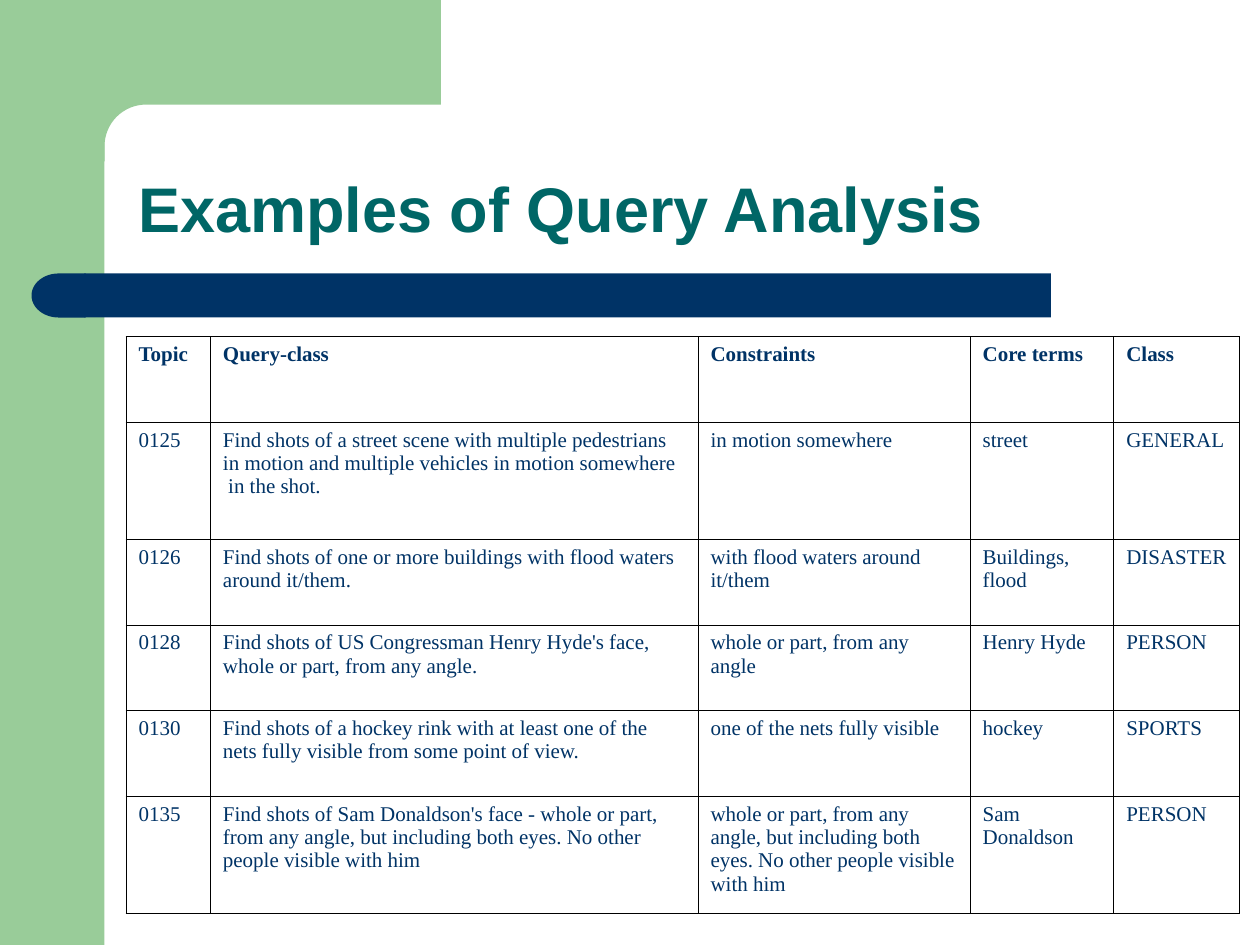
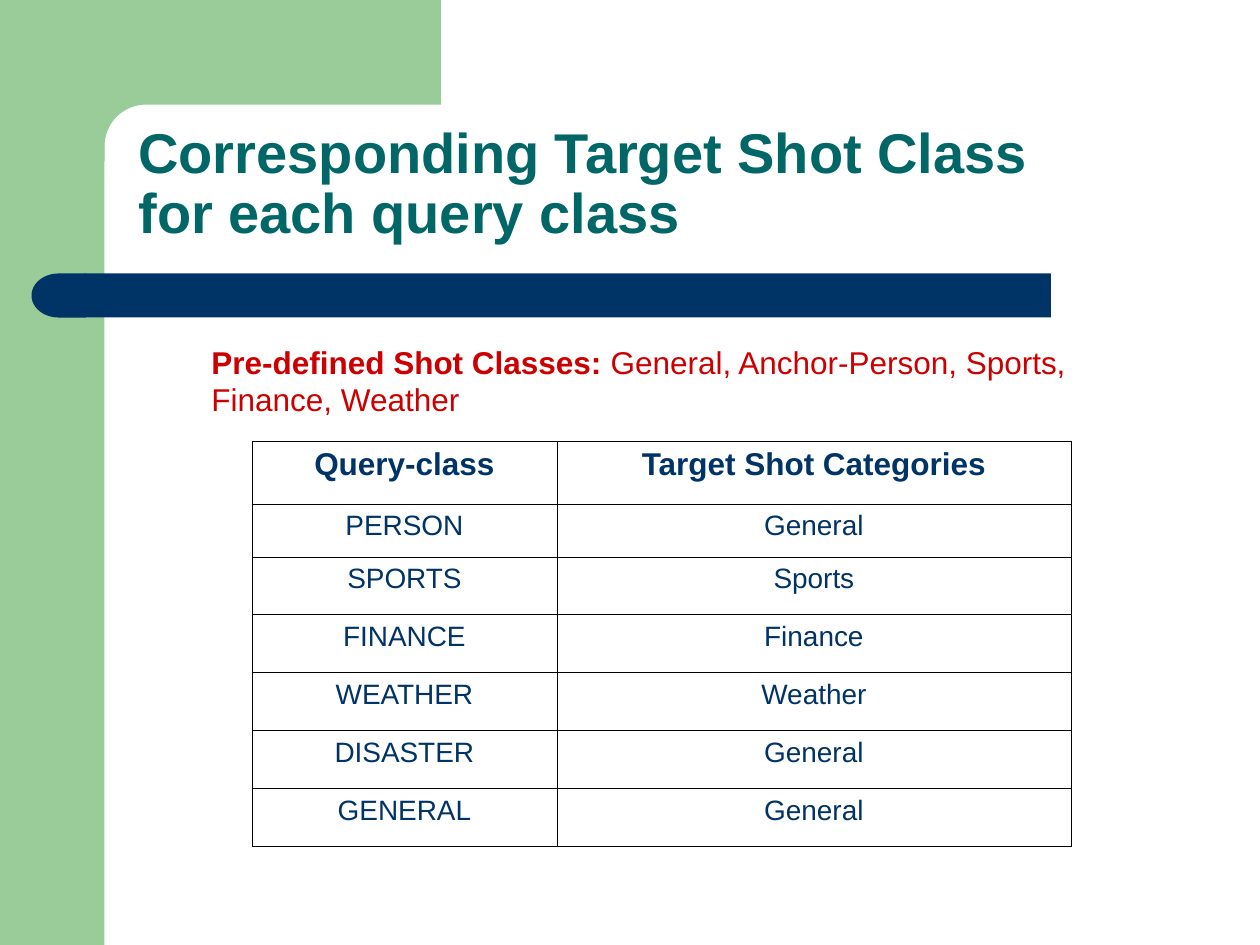
import math

import lxml.etree
import pptx
import pptx.dml.color
import pptx.enum.shapes
import pptx.enum.text
import pptx.oxml.ns
import pptx.util

Inches = pptx.util.Inches
RGBColor = pptx.dml.color.RGBColor
SHAPE = pptx.enum.shapes.MSO_SHAPE
ALIGN = pptx.enum.text.PP_ALIGN
ANCHOR = pptx.enum.text.MSO_ANCHOR

GREEN = RGBColor(0x99, 0xCC, 0x99)
NAVY = RGBColor(0x00, 0x33, 0x66)
TEAL = RGBColor(0x00, 0x66, 0x66)
RED = RGBColor(0xCC, 0x00, 0x00)
BLACK = RGBColor(0x00, 0x00, 0x00)

SANS = "Arial"
SERIF = "Times New Roman"
PAGE = (0, 0, 10, 7.5)
TITLE_BOX = (1, 0.91, 8.43, 1.09)

TOPICS = [
    ["Topic", "Query-class", "Constraints", "Core terms", "Class"],
    ["0125",
     "Find shots of a street scene with multiple pedestrians\n"
     "in motion and multiple vehicles in motion somewhere\n in the shot.",
     "in motion somewhere", "street", "GENERAL"],
    ["0126",
     "Find shots of one or more buildings with flood waters\naround it/them.",
     "with flood waters around\nit/them", "Buildings,\nflood", "DISASTER"],
    ["0128",
     "Find shots of US Congressman Henry Hyde's face,\n"
     "whole or part, from any angle.",
     "whole or part, from any\nangle", "Henry Hyde", "PERSON"],
    ["0130",
     "Find shots of a hockey rink with at least one of the\n"
     "nets fully visible from some point of view.",
     "one of the nets fully visible", "hockey", "SPORTS"],
    ["0135",
     "Find shots of Sam Donaldson's face - whole or part,\n"
     "from any angle, but including both eyes. No other\n"
     "people visible with him",
     "whole or part, from any\nangle, but including both\n"
     "eyes. No other people visible\nwith him",
     "Sam\nDonaldson", "PERSON"],
]

TARGETS = [
    ["Query-class", "Target Shot Categories"],
    ["PERSON", "General"],
    ["SPORTS", "Sports"],
    ["FINANCE", "Finance"],
    ["WEATHER", "Weather"],
    ["DISASTER", "General"],
    ["GENERAL", "General"],
]


def write(frame, text, size, color, font=SANS, bold=False, lead="",
          align=ALIGN.LEFT, spacing=None):
    """Fill a text frame, one paragraph a line, after an optional bold lead."""
    frame.word_wrap = True
    for i, line in enumerate(text.split("\n")):
        para = frame.add_paragraph() if i else frame.paragraphs[0]
        para.alignment = align
        para.line_spacing = spacing
        if lead and not i:
            para.add_run().text = lead
        for j, part in enumerate(line.split("\v")):
            if j:
                para.add_line_break()
            para.add_run().text = part
        for k, run in enumerate(para.runs):
            run.font.name = font
            run.font.size = pptx.util.Pt(size)
            run.font.color.rgb = color
            run.font.bold = bold or bool(lead and not i and not k)


def paint(shape, color):
    shape.shadow.inherit = False
    shape.fill.solid()
    shape.fill.fore_color.rgb = color
    shape.line.fill.background()
    return shape


def block(slide, kind, box, color):
    return paint(slide.shapes.add_shape(kind, *map(Inches, box)), color)


def frame(slide, box):
    """Draw the green corner and the navy bar."""
    left, top, _, height = box
    side, band, reach, curve = 0.83, 0.83, 3.5, 0.33
    block(slide, SHAPE.RECTANGLE, (left, top, side, height), GREEN)

    hub = side + curve, band + curve
    turns = [math.radians(90 * i / 16) for i in range(17)]
    arc = [(hub[0] - curve * math.sin(t), hub[1] - curve * math.cos(t))
           for t in turns]
    edge = [(reach, 0), (reach, band), *arc, (side, 1.28), (0.5, 1.28), (0.5, 0)]
    points = [(Inches(left + x), Inches(top + y)) for x, y in edge]
    pen = slide.shapes.build_freeform(*points[0])
    pen.add_line_segments(points[1:], close=True)
    paint(pen.convert_to_shape(), GREEN)

    block(slide, SHAPE.RECTANGLE, (left + 0.67, top + 2.17, 7.67, 0.35), NAVY)
    cap = block(slide, SHAPE.FLOWCHART_DELAY,
                (left + 0.25, top + 2.17, 0.43, 0.35), NAVY)
    cap.rotation = 180


def label(slide, box, text, anchor=ANCHOR.TOP, **style):
    area = slide.shapes.add_textbox(*map(Inches, box)).text_frame
    area.vertical_anchor = anchor
    write(area, text, **style)


def rule(cell):
    """Draw thin black lines on all four sides of a cell."""
    props = cell._tc.get_or_add_tcPr()
    for side in ("a:lnL", "a:lnR", "a:lnT", "a:lnB"):
        line = lxml.etree.SubElement(props, pptx.oxml.ns.qn(side),
                                     w=str(pptx.util.Pt(0.45)))
        fill = lxml.etree.SubElement(line, pptx.oxml.ns.qn("a:solidFill"))
        lxml.etree.SubElement(fill, pptx.oxml.ns.qn("a:srgbClr"), val=str(BLACK))


def grid(slide, spot, rows, widths, heights, size, head, **style):
    box = (*spot, sum(widths), sum(heights))
    table = slide.shapes.add_table(len(rows), len(widths),
                                   *map(Inches, box)).table
    table.first_row = table.horz_banding = False
    for col, width in zip(table.columns, widths):
        col.width = Inches(width)
    for i, (texts, height) in enumerate(zip(rows, heights)):
        table.rows[i].height = Inches(height)
        for j, text in enumerate(texts):
            cell = table.cell(i, j)
            rule(cell)
            cell.fill.background()
            write(cell.text_frame, text, size=size if i else head,
                  color=NAVY, bold=not i, **style)


def start(deck, title, size):
    """Add a slide with the shared frame and title."""
    slide = deck.slides.add_slide(deck.slide_layouts[6])
    frame(slide, PAGE)
    label(slide, TITLE_BOX, title, anchor=ANCHOR.BOTTOM, size=size,
          color=TEAL, bold=True, spacing=0.9)
    return slide


def topics(deck):
    slide = start(deck, "Examples of Query Analysis", 36)
    grid(slide, (1, 2.67), TOPICS, [0.67, 3.87, 2.16, 1.14, 1],
         [0.68, 0.93, 0.68, 0.68, 0.68, 0.93], size=12, head=12, font=SERIF)


def targets(deck):
    slide = start(deck,
                  "Corresponding Target Shot Class\vfor each query class", 32)
    grid(slide, (2, 3.5), TARGETS, [2.42, 4.08], [0.5, 0.42] + [0.46] * 5,
         size=16, head=18, align=ALIGN.CENTER)
    label(slide, (1.58, 2.67, 7.75, 0.7),
          " General, Anchor-Person, Sports, Finance, Weather",
          lead="Pre-defined Shot Classes:", size=18, color=RED)


def main():
    deck = pptx.Presentation()
    deck.slide_width, deck.slide_height = map(Inches, PAGE[2:])
    topics(deck)
    targets(deck)
    deck.save("out.pptx")


if __name__ == "__main__":
    main()
